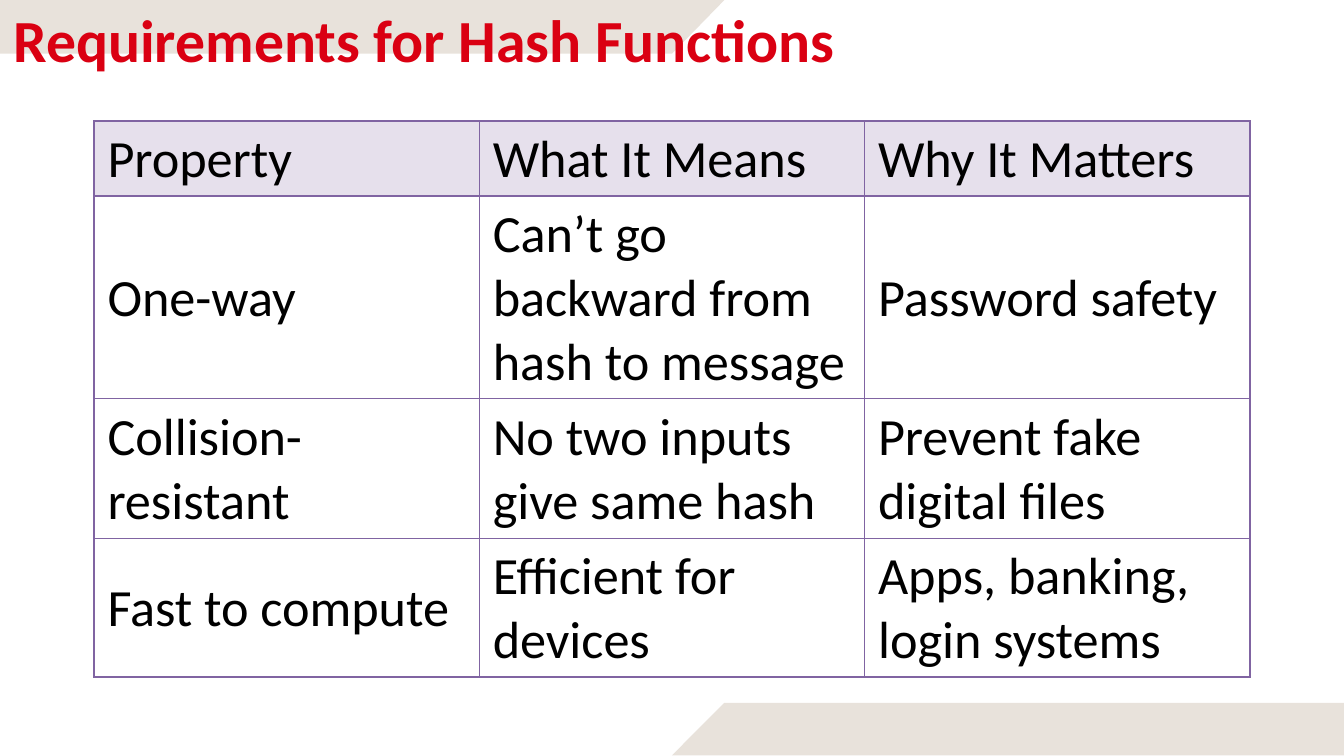
from lxml import etree
from pptx import Presentation
from pptx.dml.color import RGBColor
from pptx.enum.text import MSO_ANCHOR as Anchor, MSO_AUTO_SIZE as AutoSize, PP_ALIGN as Align
from pptx.oxml import parse_xml
from pptx.oxml.ns import nsdecls
from pptx.util import Inches, Pt

COLORS = {
    "band": "E8E2DB",
    "title": "DA0012",
    "text": "000000",
    "header": "E6E0EC",
    "border": "8064A2",
}
FONT = "Calibri"


def write(frame, text, size, color, bold=False, anchor=Anchor.MIDDLE):
    frame.word_wrap = True
    frame.vertical_anchor = anchor
    para = frame.paragraphs[0]
    para.alignment = Align.LEFT
    span = para.add_run()
    span.text = text
    span.font.name = FONT
    span.font.size = Pt(size)
    span.font.bold = bold
    span.font.color.rgb = RGBColor.from_string(COLORS[color])


def add_borders(cell, color, width):
    """Draw all four edges; edge elements must come before the cell's fill."""
    properties = cell._tc.get_or_add_tcPr()
    for index, edge in enumerate(("lnL", "lnR", "lnT", "lnB")):
        line = parse_xml(f'<a:{edge} {nsdecls("a")} w="{Pt(width)}"/>')
        fill = etree.SubElement(line, line.tag.replace(edge, "solidFill"))
        etree.SubElement(fill, line.tag.replace(edge, "srgbClr"), val=COLORS[color])
        properties.insert(index, line)


deck = Presentation()
deck.slide_width = Inches(10)
deck.slide_height = deck.slide_width * 9 // 16
page = deck.slides.add_slide(deck.slide_layouts[5])

# Slanted bands at the top left and bottom right
bands = [
    [(0, 0), (5.39, 0), (5, 0.4), (0, 0.4)],
    [(10, 5.23), (5.39, 5.23), (5, 5.62), (10, 5.62)],
]
for corners in bands:
    points = [(Inches(x), Inches(y)) for x, y in corners]
    builder = page.shapes.build_freeform(*points[0])
    builder.add_line_segments(points[1:], close=True)
    band = builder.convert_to_shape()
    band.shadow.inherit = False
    band.fill.solid()
    band.fill.fore_color.rgb = RGBColor.from_string(COLORS["band"])
    band.line.fill.background()

# Title, brought in front of the bands
title = page.shapes.title
page.shapes._spTree.append(title._element)
title.left, title.top = Inches(0), Inches(-0.1)
title.width, title.height = Inches(8.99), Inches(0.66)
frame = title.text_frame
frame.auto_size = AutoSize.NONE
frame.margin_left, frame.margin_top = Inches(0.1), Inches(0.12)
frame.margin_right = frame.margin_bottom = Inches(0)
write(frame, "Requirements for Hash Functions", 32, "title", bold=True, anchor=Anchor.TOP)

# Table of properties
rows = [
    ("Property", "What It Means", "Why It Matters"),
    ("One-way", "Can’t go backward from hash to message", "Password safety"),
    ("Collision-resistant", "No two inputs give same hash", "Prevent fake digital files"),
    ("Fast to compute", "Efficient for devices", "Apps, banking, login systems"),
]
row_heights = [0.56, 1.5, 1.04, 1.03]
table = page.shapes.add_table(
    len(rows), len(rows[0]), Inches(0.7), Inches(0.9), Inches(8.6), Inches(sum(row_heights))
).table
table.first_row = False
table.horz_banding = False
for row, height in zip(table.rows, row_heights):
    row.height = Inches(height)

for row_index, texts in enumerate(rows):
    for column_index, text in enumerate(texts):
        cell = table.cell(row_index, column_index)
        cell.margin_top = Inches(0.05)
        cell.margin_bottom = Inches(0.03)
        cell.vertical_anchor = Anchor.MIDDLE
        write(cell.text_frame, text, 28, "text")
        if row_index == 0:
            cell.fill.solid()
            cell.fill.fore_color.rgb = RGBColor.from_string(COLORS["header"])
        else:
            cell.fill.background()
        add_borders(cell, "border", 1)

deck.save("out.pptx")
